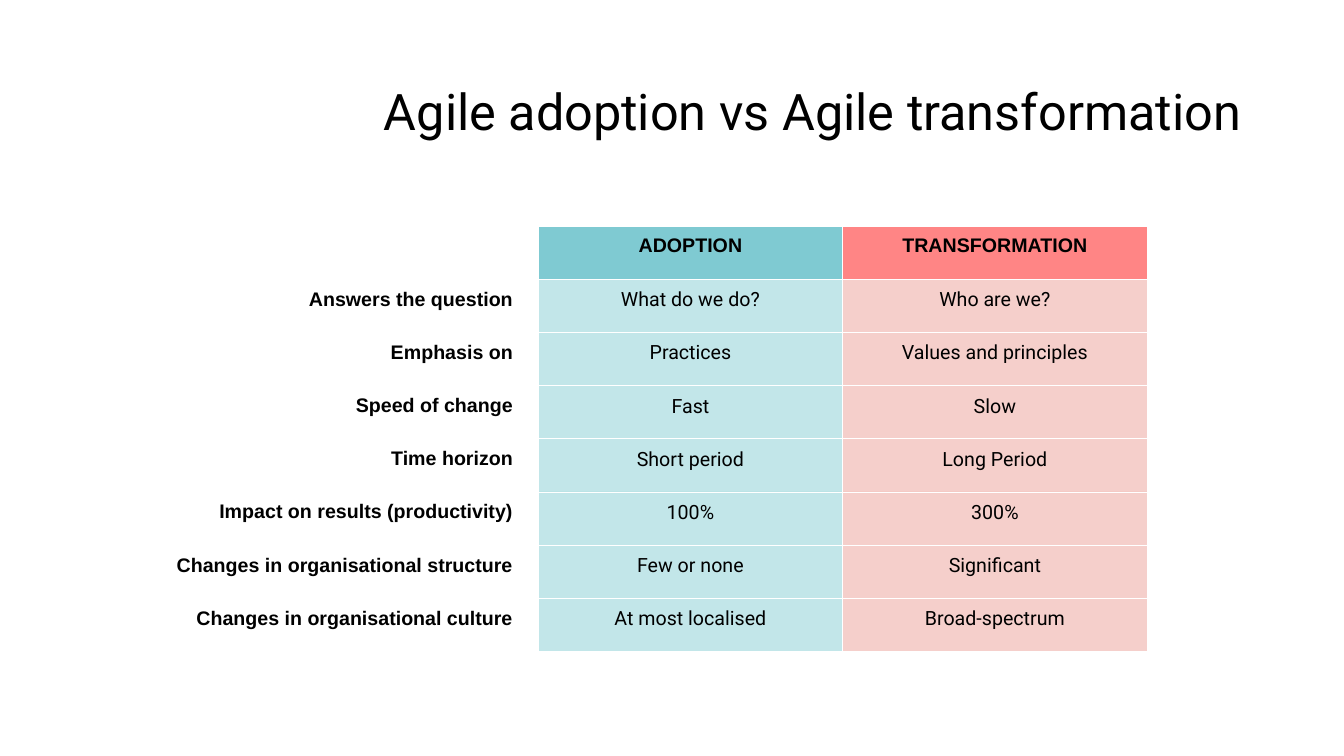
from dataclasses import dataclass

from lxml import etree
from pptx import Presentation
from pptx import util as u
from pptx.dml.color import RGBColor
from pptx.enum import text
from pptx.oxml import ns

PX = 6350  # 144 px to the inch
COLORS = {"ink": "000000", "line": "FFFFFF", "teal": "0097A7", "red": "FF0000", "brick": "D83729"}


@dataclass(frozen=True)
class CellStyle:
    font: str
    bold: bool
    align: text.PP_ALIGN
    fill: str = ""
    opacity: int = 100
    margin_right: int = 0


LABEL = CellStyle("Arial", True, text.PP_ALIGN.RIGHT, margin_right=36)
HEADERS = [
    LABEL,
    CellStyle("Arial", True, text.PP_ALIGN.CENTER, "teal", 50),
    CellStyle("Arial", True, text.PP_ALIGN.CENTER, "red", 48),
]
BODY = [
    LABEL,
    CellStyle("Roboto", False, text.PP_ALIGN.CENTER, "teal", 24),
    CellStyle("Roboto", False, text.PP_ALIGN.CENTER, "brick", 24),
]
ROWS = [
    ("", "ADOPTION", "TRANSFORMATION"),
    ("Answers the question", "What do we do?", "Who are we?"),
    ("Emphasis on", "Practices", "Values and principles"),
    ("Speed of change", "Fast", "Slow"),
    ("Time horizon", "Short period", "Long Period"),
    ("Impact on results (productivity)", "100%", "300%"),
    ("Changes in organisational structure", "Few or none", "Significant"),
    ("Changes in organisational culture", "At most localised", "Broad-spectrum"),
]
COLUMN_WIDTHS = [579, 435, 435]
ROW_HEIGHT = 76


def px(length: int) -> u.Emu:
    return u.Emu(length * PX)


def format_para(para, font: str, size: int, bold: bool, align: text.PP_ALIGN) -> None:
    para.alignment = align
    for span in para.runs:
        span.font.name = font
        span.font.size = u.Pt(size)
        span.font.bold = bold
        span.font.color.rgb = RGBColor.from_string(COLORS["ink"])


def fill_cell(cell, style: CellStyle) -> None:
    if not style.fill:
        cell.fill.background()
        return
    cell.fill.solid()
    cell.fill.fore_color.rgb = RGBColor.from_string(COLORS[style.fill])
    color = cell._tc.tcPr.find(".//" + ns.qn("a:srgbClr"))
    etree.SubElement(color, ns.qn("a:alpha"), val=str(style.opacity * 1000))


def add_borders(cell) -> None:
    properties = cell._tc.get_or_add_tcPr()
    for position, side in enumerate(("lnL", "lnR", "lnT", "lnB")):
        line = etree.Element(ns.qn(f"a:{side}"), w=str(u.Pt(0.75)))
        fill = etree.SubElement(line, ns.qn("a:solidFill"))
        etree.SubElement(fill, ns.qn("a:srgbClr"), val=COLORS["line"])
        properties.insert(position, line)


def write_cell(cell, words: str, style: CellStyle) -> None:
    cell.margin_left = cell.margin_bottom = 0
    cell.margin_top = px(13)
    cell.margin_right = px(style.margin_right)
    cell.text_frame.text = words
    format_para(cell.text_frame.paragraphs[0], style.font, 14, style.bold, style.align)
    fill_cell(cell, style)
    add_borders(cell)


def add_title(page, words: str) -> None:
    title = page.shapes.title
    title.left, title.top, title.width, title.height = map(px, (132, 58, 1656, 209))
    frame = title.text_frame
    frame.text = words
    frame.vertical_anchor = text.MSO_ANCHOR.MIDDLE
    para = frame.paragraphs[0]
    para.line_spacing = 0.9
    format_para(para, "Roboto", 36, False, text.PP_ALIGN.RIGHT)


def add_comparison(page) -> None:
    frame = page.shapes.add_table(
        len(ROWS), len(COLUMN_WIDTHS), px(190), px(323),
        px(sum(COLUMN_WIDTHS)), px(ROW_HEIGHT * len(ROWS)),
    )
    table = frame.table
    table.first_row = table.horz_banding = False
    for column, width in zip(table.columns, COLUMN_WIDTHS):
        column.width = px(width)
    for index, (row, words) in enumerate(zip(table.rows, ROWS)):
        row.height = px(ROW_HEIGHT)
        for cell, entry, style in zip(row.cells, words, BODY if index else HEADERS):
            write_cell(cell, entry, style)


def main() -> None:
    deck = Presentation()
    deck.slide_width, deck.slide_height = px(1920), px(1080)
    page = deck.slides.add_slide(deck.slide_layouts[5])
    add_title(page, "Agile adoption vs Agile transformation")
    add_comparison(page)
    deck.save("out.pptx")


if __name__ == "__main__":
    main()
